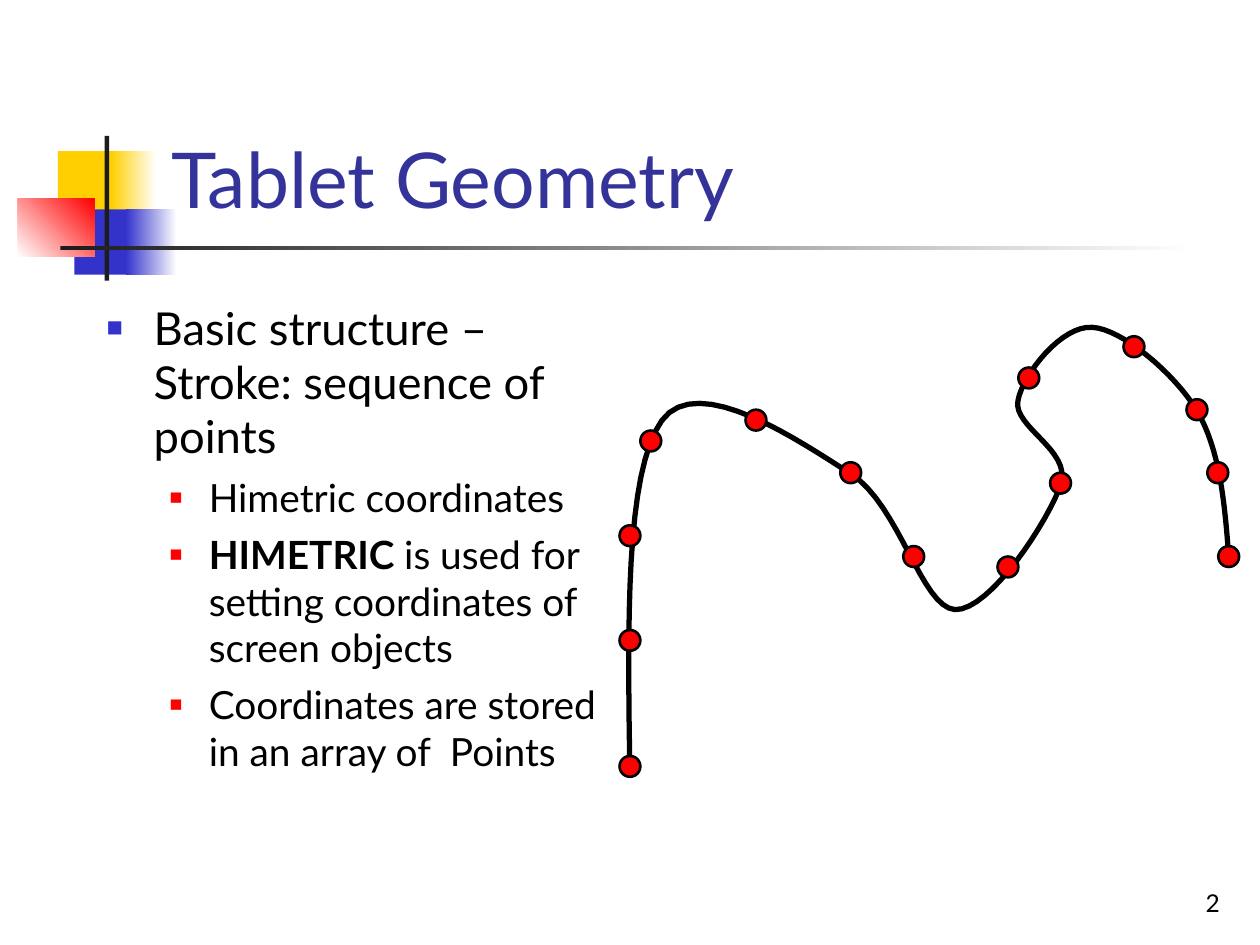
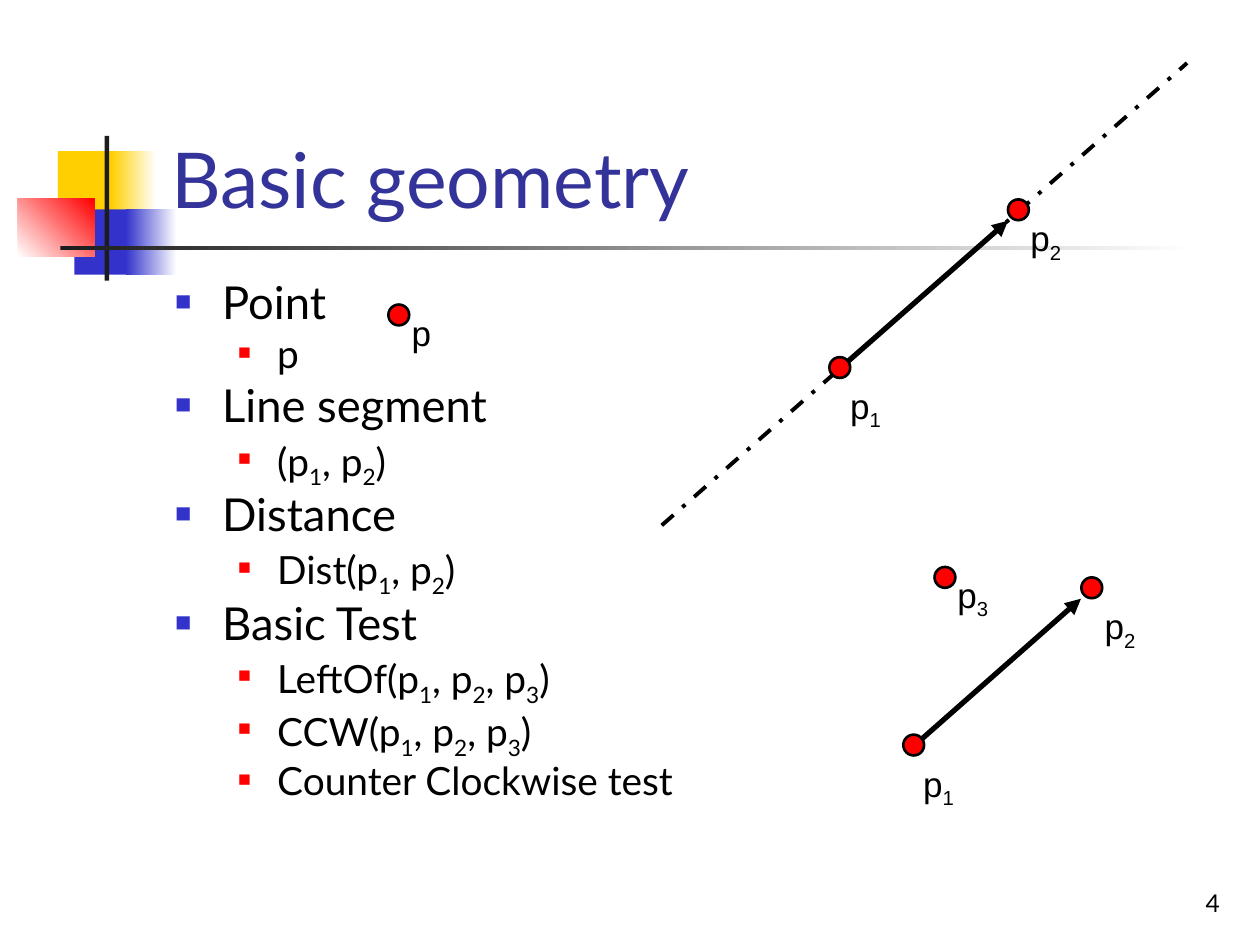
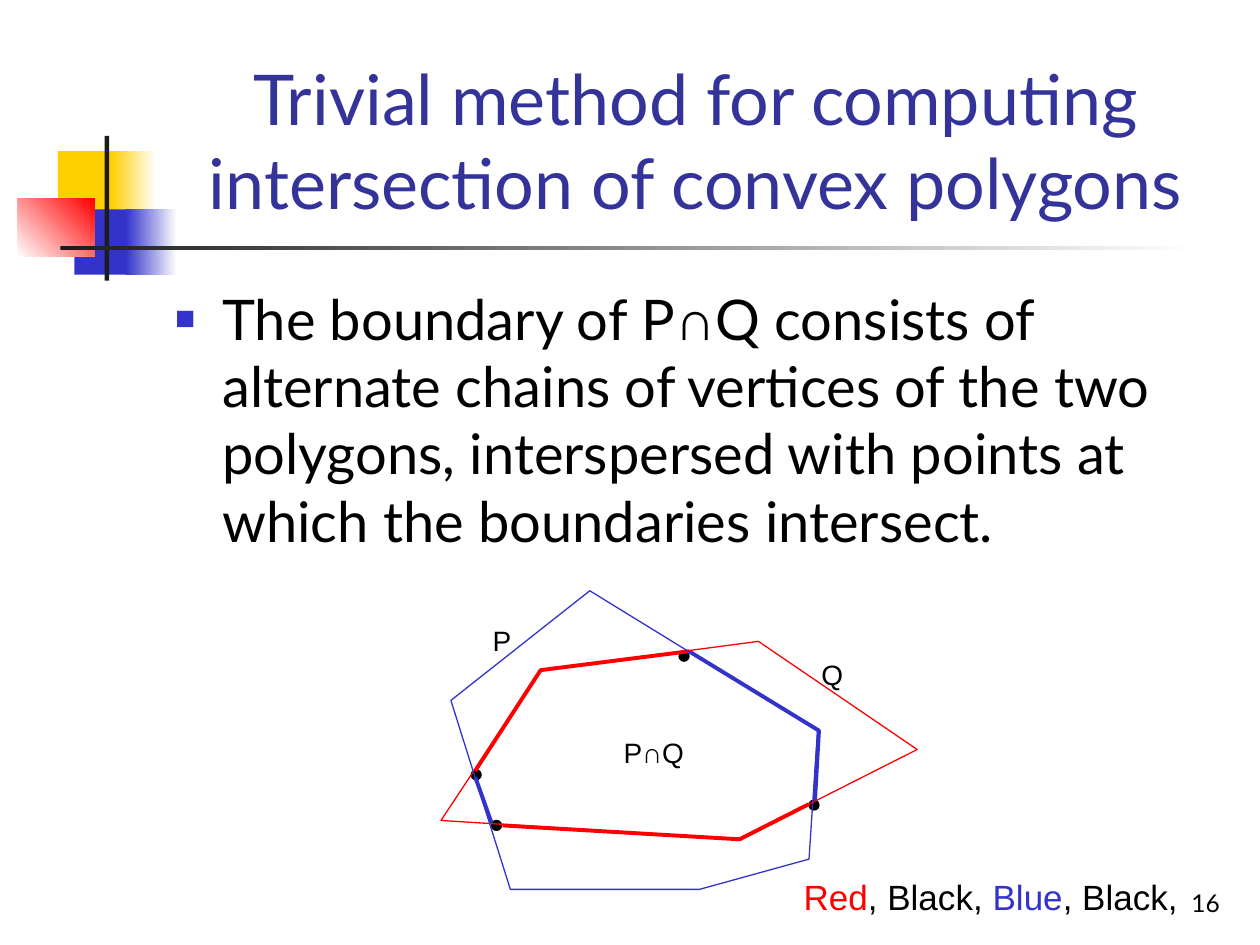
from lxml.etree import SubElement
from pptx import Presentation
from pptx.dml.color import RGBColor
from pptx.enum.dml import MSO_LINE
from pptx.enum.shapes import MSO_CONNECTOR, MSO_SHAPE
from pptx.enum.text import MSO_ANCHOR, PP_ALIGN
from pptx.oxml.ns import qn
from pptx.util import Cm, Pt

COLORS = {
    "title": "333399",
    "yellow": "FFCF01",
    "blue": "3333CC",
    "red": "FF0000",
    "bar": "1C1C1C",
    "black": "000000",
    "white": "FFFFFF",
}
BULLETS = [
    {"margin": 0.95, "indent": -0.95, "color": "blue", "scale": 60000},
    {"margin": 2.06, "indent": -0.79, "color": "red", "scale": 55000},
]


def style(shape, fill=None, line=None, width=1.5):
    shape.shadow.inherit = False
    if fill is None:
        shape.fill.background()
    elif isinstance(fill, tuple):
        start, end, angle = fill
        shape.fill.gradient()
        shape.fill.gradient_angle = angle
        for stop, name in zip(shape.fill.gradient_stops, (start, end)):
            stop.color.rgb = RGBColor.from_string(COLORS[name])
    else:
        shape.fill.solid()
        shape.fill.fore_color.rgb = RGBColor.from_string(COLORS[fill])
    if line is None:
        shape.line.fill.background()
    else:
        shape.line.color.rgb = RGBColor.from_string(COLORS[line])
        shape.line.width = Pt(width)


def write(slide, box, lines, sizes=(20,), font="Lato", color="black", align=PP_ALIGN.LEFT,
          anchor=MSO_ANCHOR.TOP, wrap=True, bulleted=False, before=(0,), spacing=None):
    frame = slide.shapes.add_textbox(*[Cm(v) for v in box]).text_frame
    frame.word_wrap = wrap
    frame.vertical_anchor = anchor
    for index, (level, runs) in enumerate(lines):
        paragraph = frame.paragraphs[0] if index == 0 else frame.add_paragraph()
        paragraph.alignment = align
        paragraph.level = level
        paragraph.space_before = Pt(before[level])
        if spacing:
            paragraph.line_spacing = spacing
        if bulleted:
            bullet = BULLETS[level]
            props = paragraph._p.get_or_add_pPr()
            props.set("marL", str(Cm(bullet["margin"])))
            props.set("indent", str(Cm(bullet["indent"])))
            SubElement(SubElement(props, qn("a:buClr")), qn("a:srgbClr"), val=COLORS[bullet["color"]])
            SubElement(props, qn("a:buSzPct"), val=str(bullet["scale"]))
            SubElement(props, qn("a:buFont"), typeface="Arial")
            SubElement(props, qn("a:buChar"), char="■")
        for text, special in [(runs, {})] if isinstance(runs, str) else runs:
            head, *tails = text.split("_")
            pieces = [(head, False)]
            for tail in tails:
                pieces += [(tail[0], True), (tail[1:], False)]
            for piece, subscript in pieces:
                if not piece:
                    continue
                run = paragraph.add_run()
                run.text = piece
                run.font.size = Pt(sizes[level])
                run.font.name = special.get("font", font)
                run.font.bold = special.get("bold", False)
                run.font.color.rgb = RGBColor.from_string(COLORS[special.get("color", color)])
                if subscript:
                    run._r.get_or_add_rPr().set("baseline", "-25000")


deck = Presentation()
deck.slide_width, deck.slide_height = Cm(25.4), Cm(19.05)

ornaments = [
    ((1.17, 3.05, 1.22, 1.32), "yellow"),
    ((2.24, 3.05, 0.91, 1.32), ("yellow", "white", 0)),
    ((1.5, 4.22, 1.17, 1.32), "blue"),
    ((2.54, 4.22, 1.02, 1.32), ("blue", "white", 0)),
    ((0.36, 4.01, 1.55, 1.17), ("white", "red", 45)),
    ((2.11, 2.74, 0.09, 2.92), "bar"),
    ((1.22, 4.95, 22.86, 0.09), ("bar", "white", 0)),
]
headings = [
    ("Tablet Geometry", 44, PP_ALIGN.LEFT, "2"),
    ("Basic geometry", 44, PP_ALIGN.LEFT, "4"),
    ("Trivial method for computing intersection of convex polygons", 40, PP_ALIGN.CENTER, "16"),
]
for title, size, align, number in headings:
    slide = deck.slides.add_slide(deck.slide_layouts[6])
    for box, fill in ornaments:
        style(slide.shapes.add_shape(MSO_SHAPE.RECTANGLE, *[Cm(v) for v in box]), fill)
    write(slide, (3.2, 0.58, 21.64, 4.06), [(0, title)], sizes=(size,), color="title",
          align=align, anchor=MSO_ANCHOR.BOTTOM)
    write(slide, (19.56, 17.35, 5.28, 1.27), [(0, number)], sizes=(14,),
          align=PP_ALIGN.RIGHT, anchor=MSO_ANCHOR.BOTTOM)
tablet, basics, polygons = deck.slides

write(tablet, (1.9, 5.92, 10.59, 11.43), [
    (0, "Basic structure – Stroke: sequence of points"),
    (1, "Himetric coordinates"),
    (1, [("HIMETRIC ", {"bold": True}), ("is used for setting coordinates of screen objects", {})]),
    (1, "Coordinates are stored in an array of  Points"),
], sizes=(25.9, 22.2), bulleted=True, before=(7, 6))

stroke_start = (12.7, 15.67)
stroke_curves = [
    ((12.65, 12.6), (12.6, 9.53), (13.34, 8.48)),
    ((14.07, 7.47), (16.15, 8.92), (17.15, 9.55)),
    ((18.14, 10.19), (18.57, 12.24), (19.25, 12.29)),
    ((19.96, 12.32), (21.16, 10.46), (21.39, 9.75)),
    ((21.59, 9.07), (20.42, 8.61), (20.52, 8.08)),
    ((20.62, 7.54), (21.41, 6.55), (22.02, 6.6)),
    ((22.61, 6.63), (23.67, 7.52), (24.13, 8.28)),
    ((24.59, 9.07), (24.69, 10.13), (24.77, 11.23)),
]
steps = 16
stroke = [stroke_start]
for first, second, end in stroke_curves:
    start = stroke[-1]
    for step in range(1, steps + 1):
        t = step / steps
        stroke.append(tuple(
            (1 - t) ** 3 * a + 3 * (1 - t) ** 2 * t * b + 3 * (1 - t) * t ** 2 * c + t ** 3 * d
            for a, b, c, d in zip(start, first, second, end)))

write(basics, (3.28, 5.61, 10.59, 11.43), [
    (0, "Point"),
    (1, "p"),
    (0, "Line segment"),
    (1, "(p_1, p_2)"),
    (0, "Distance"),
    (1, "Dist(p_1, p_2)"),
    (0, "Basic Test"),
    (1, "LeftOf(p_1, p_2, p_3)"),
    (1, "CCW(p_1, p_2, p_3)"),
    (1, "Counter Clockwise test"),
], sizes=(25.9, 22.2), bulleted=True, before=(7, 6), spacing=0.8)

segments = [
    ((16.94, 7.42, 20.32, 4.45), True),
    ((13.34, 10.59, 23.93, 1.27), False),
    ((18.42, 15.04, 21.79, 12.07), True),
]
for ends, directed in segments:
    segment = basics.shapes.add_connector(MSO_CONNECTOR.STRAIGHT, *[Cm(v) for v in ends])
    segment.line.color.rgb = RGBColor.from_string(COLORS["black"])
    segment.line.width = Pt(3 if directed else 2.24)
    if directed:
        SubElement(segment.line._get_or_add_ln(), qn("a:tailEnd"), type="triangle")
    else:
        segment.line.dash_style = MSO_LINE.DASH_DOT
    SubElement(segment._element.spPr, qn("a:effectLst"))

write(polygons, (3.28, 5.61, 21.59, 11.43), [(0, [
    ("The boundary of P", {}),
    ("∩", {"font": "Arial"}),
    ("Q consists of alternate chains of vertices of the two polygons, interspersed "
     "with points at which the boundaries intersect.", {}),
])], sizes=(32,), bulleted=True, before=(8,))

crossing = 0.2
for x, y in [(13.69, 13.13), (16.31, 16.13), (9.5, 15.52), (9.91, 16.54)]:
    style(polygons.shapes.add_shape(MSO_SHAPE.OVAL, Cm(x), Cm(y), Cm(crossing), Cm(crossing)),
          "black", "black", 0.74)

outlines = [
    (tablet, stroke, "black", 3, False),
    (polygons, [(9.58, 15.54), (10.9, 13.51), (13.89, 13.13)], "red", 2.24, False),
    (polygons, [(13.89, 13.13), (16.51, 14.73), (16.43, 16.13)], "blue", 2.24, False),
    (polygons, [(16.31, 16.21), (14.91, 16.92), (10.13, 16.64)], "red", 2.24, False),
    (polygons, [(9.58, 15.67), (9.63, 15.8), (9.91, 16.59)], "blue", 2.24, False),
    (polygons, [(8.89, 16.54), (10.9, 13.51), (15.29, 12.93), (18.49, 15.11), (14.91, 16.92)],
     "red", 0.74, True),
    (polygons, [(11.89, 11.91), (16.48, 14.73), (16.31, 17.32), (14.1, 17.93), (10.29, 17.93),
                (9.09, 14.12)], "blue", 0.74, True),
]
for slide, corners, color, width, closed in outlines:
    start, *rest = [(Cm(x), Cm(y)) for x, y in corners]
    outline = slide.shapes.build_freeform(*start)
    outline.add_line_segments(rest, close=closed)
    style(outline.convert_to_shape(), line=color, width=width)

point = 0.42
centers = [
    (tablet, [(12.7, 15.45), (12.7, 12.91), (12.7, 10.8), (13.12, 8.89), (15.24, 8.47),
              (17.15, 9.53), (18.42, 11.22), (20.32, 11.43), (21.38, 9.74), (20.74, 7.62),
              (22.86, 6.99), (24.13, 8.26), (24.55, 9.53), (24.77, 11.22)]),
    (basics, [(19.05, 11.64), (22.01, 11.85), (16.93, 7.41), (20.53, 4.23), (18.42, 15.02),
              (8.04, 6.35)]),
]
for slide, spots in centers:
    for x, y in spots:
        style(slide.shapes.add_shape(MSO_SHAPE.OVAL, Cm(x - point / 2), Cm(y - point / 2),
                                     Cm(point), Cm(point)), "red", "black")

labels = [
    (basics, "p_1", 16.89, 7.62, 20),
    (basics, "p_1", 18.36, 15.24, 20),
    (basics, "p_3", 19.05, 11.43, 20),
    (basics, "p_2", 20.52, 4.24, 20),
    (basics, "p_2", 22.02, 12.07, 20),
    (basics, "p", 8.05, 6.15, 20),
    (polygons, "P", 9.68, 12.45, 16),
    (polygons, "Q", 16.31, 13.13, 16),
    (polygons, "P∩Q", 12.32, 14.71, 16),
]
for slide, text, x, y, size in labels:
    write(slide, (x, y, 1.9, 1.1), [(0, text)], sizes=(size,), font="Arial")

write(polygons, (15.95, 17.53, 8.81, 1.12), [(0, [
    ("Red", {"color": "red"}),
    (", Black, ", {}),
    ("Blue", {"color": "blue"}),
    (", Black,", {}),
])], font="Arial")

deck.save("out.pptx")
